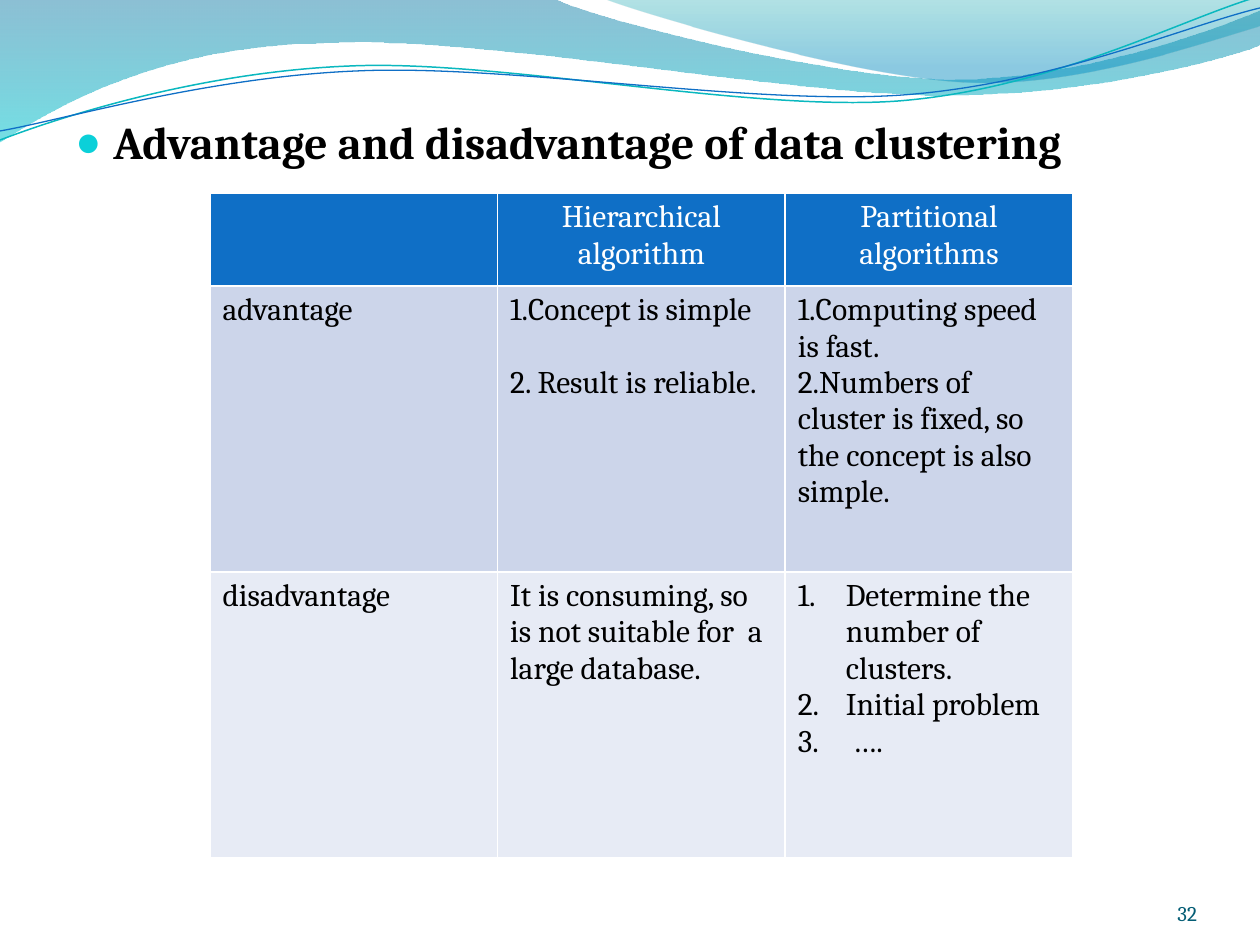
import pptx
import pptx.dml.color
import pptx.enum.text
import pptx.oxml
import pptx.oxml.ns
import pptx.util

RGB = pptx.dml.color.RGBColor
ALIGN = pptx.enum.text.PP_ALIGN
QN = pptx.oxml.ns.qn
NS = pptx.oxml.ns.nsdecls("a")
PX = 914400 / 126
FONT = "Cambria"

WHITE = RGB(0xFF, 0xFF, 0xFF)
BLACK = RGB(0, 0, 0)
BLUE = RGB(0x0F, 0x6F, 0xC6)
TEAL = RGB(0x0A, 0xB8, 0xBF)
AQUA = RGB(0x0B, 0xD0, 0xD9)
NAVY = RGB(0x04, 0x5D, 0x75)
PALE = RGB(0xCC, 0xD5, 0xEA)
MIST = RGB(0xE7, 0xEB, 0xF5)

# Each path is a start point, then legs: one point for a line, three for a curve.
WAVES = [
    dict(path=[(0, 0), [(554, -1)],
               [(600, 21), (837, 79), (955, 79)],
               [(1075, 79), (1207, 33), (1260, 11)],
               [(1261, 45)],
               [(1238, 55), (1096, 96), (940, 95)],
               [(783, 95), (481, 35), (324, 43)],
               [(163, 45), (58, 105), (-1, 142)],
               [(0, 0)]],
         stops=[(0, RGB(0x00, 0x74, 0xA1), 45), (1, RGB(0x00, 0xC6, 0xCF), 55)]),
    dict(path=[(604, -1),
               [(641, 14), (859, 78), (969, 82)],
               [(1079, 87), (1211, 40), (1260, 26)],
               [(1260, 0)],
               [(604, -1)]],
         stops=[(0, RGB(0x00, 0xA1, 0xA9), 30), (0.8, RGB(0x00, 0x8B, 0xBF), 45)]),
]
LINES = [
    dict(path=[(0, 140),
               [(60, 117), (199, 72), (349, 66)],
               [(497, 59), (747, 112), (898, 101)],
               [(1051, 89), (1182, 19), (1257, -3)]],
         color=TEAL, width=0.85),
    dict(path=[(0, 131),
               [(59, 121), (207, 77), (357, 71)],
               [(508, 64), (752, 106), (903, 95)],
               [(1053, 84), (1185, 26), (1260, 8)]],
         color=BLUE, width=0.75),
]

TITLE = "Advantage and disadvantage of data clustering"
NUMBER = "32"
HEAD = [[], ["Hierarchical algorithm"], ["Partitional algorithms"]]
GOOD = [["advantage"],
        ["1.Concept is simple", "2. Result is reliable."],
        ["1.Computing speed is fast.",
         "2.Numbers of cluster is fixed, so the concept is also simple."]]
BAD = [["disadvantage"],
       ["It is consuming, so is not suitable for  a large database."],
       ["Determine the number of clusters.", "Initial problem", " …."]]
# Cells, fill, text colour, alignment, height
ROWS = [
    (HEAD, BLUE, WHITE, ALIGN.CENTER, 93),
    (GOOD, PALE, BLACK, ALIGN.LEFT, 286),
    (BAD, MIST, BLACK, ALIGN.LEFT, 286),
]
GAPPED = (1, 1)
LISTED = (2, 2)
LEFT, TOP, WIDTH = 210, 193, 863


def emu(px):
    return pptx.util.Emu(round(px * PX))


def apply(item, **values):
    for name, value in values.items():
        setattr(item, name, value)


def add_xml(parent, tag, attrs="", inner=""):
    parent.append(pptx.oxml.parse_xml(f"<a:{tag} {NS} {attrs}>{inner}</a:{tag}>"))


def add_path(slide, path):
    """Join the end points by lines, then bend the legs that have control points."""
    start, *legs = path
    ends = [start] + [leg[-1] for leg in legs]
    dots = [(emu(x), emu(y)) for x, y in ends]
    pen = slide.shapes.build_freeform(*dots[0], scale=1.0)
    pen.add_line_segments(dots[1:], close=start == ends[-1])
    shape = pen.convert_to_shape()
    shape.shadow.inherit = False
    left, top = (min(axis) for axis in zip(*dots))
    for line, leg in zip(list(shape.element.iter(QN("a:lnTo"))), legs):
        if len(leg) == 3:
            points = "".join(f'<a:pt x="{emu(x) - left}" y="{emu(y) - top}"/>'
                             for x, y in leg)
            curve = f"<a:cubicBezTo {NS}>{points}</a:cubicBezTo>"
            line.getparent().replace(line, pptx.oxml.parse_xml(curve))
    return shape


def add_wave(slide, path, stops):
    shape = add_path(slide, path)
    shape.line.fill.background()
    shape.fill.gradient()
    shape.fill.gradient_angle = 270
    for stop, (place, color, _) in zip(shape.fill.gradient_stops, stops):
        stop.color.rgb = color
        stop.position = place
    tints = list(shape.element.spPr.iter(QN("a:srgbClr")))
    for tint, (_, _, alpha) in zip(tints, stops):
        add_xml(tint, "alpha", f'val="{alpha * 1000}"')


def add_line(slide, path, color, width):
    shape = add_path(slide, path)
    shape.fill.background()
    shape.line.color.rgb = color
    shape.line.width = pptx.util.Pt(width)


def write(para, text, size, color, bold=False):
    run = para.add_run()
    run.text = text
    apply(run.font, name=FONT, size=pptx.util.Pt(size), bold=bold)
    run.font.color.rgb = color


def indent(para, px):
    props = para._p.get_or_add_pPr()
    props.set("marL", str(emu(px)))
    props.set("indent", str(-emu(px)))
    return props


def add_box(slide, *place):
    frame = slide.shapes.add_textbox(*map(emu, place)).text_frame
    frame.word_wrap = True
    return frame


def add_title(slide):
    para = add_box(slide, 63, 108, 1134, 764).paragraphs[0]
    para.space_before = pptx.util.Pt(5.2)
    props = indent(para, 38)
    add_xml(props, "buClr", inner=f'<a:srgbClr val="{AQUA}"/>')
    add_xml(props, "buSzPct", 'val="95000"')
    add_xml(props, "buFont", 'typeface="Arial"')
    add_xml(props, "buChar", 'char="●"')
    write(para, TITLE, 26, BLACK, True)


def add_number(slide):
    frame = add_box(slide, 1092, 876, 105, 50)
    apply(frame, margin_left=0, margin_right=0, margin_top=0, margin_bottom=0,
          vertical_anchor=pptx.enum.text.MSO_ANCHOR.BOTTOM)
    frame.paragraphs[0].alignment = ALIGN.RIGHT
    write(frame.paragraphs[0], NUMBER, 12, NAVY)


def add_table(slide):
    place = (LEFT, TOP, WIDTH, sum(row[-1] for row in ROWS))
    table = slide.shapes.add_table(len(ROWS), len(HEAD), *map(emu, place)).table
    for col in table.columns:
        col.width = emu(WIDTH / len(HEAD))
    for r, (cells, fill, color, align, height) in enumerate(ROWS):
        table.rows[r].height = emu(height)
        for c, texts in enumerate(cells):
            cell = table.cell(r, c)
            cell.fill.solid()
            cell.fill.fore_color.rgb = fill
            frame = cell.text_frame
            for i, text in enumerate(texts):
                para = frame.add_paragraph() if i else frame.paragraphs[0]
                para.alignment = align
                if i and (r, c) == GAPPED:
                    para.space_before = pptx.util.Pt(21)
                if (r, c) == LISTED:
                    add_xml(indent(para, 48), "buAutoNum", 'type="arabicPeriod"')
                write(para, text, 18, color)


def main():
    deck = pptx.Presentation()
    apply(deck, slide_width=emu(1260), slide_height=emu(945))
    slide = deck.slides.add_slide(deck.slide_layouts[6])
    for wave in WAVES:
        add_wave(slide, **wave)
    for line in LINES:
        add_line(slide, **line)
    add_title(slide)
    add_table(slide)
    add_number(slide)
    deck.save("out.pptx")


if __name__ == "__main__":
    main()
